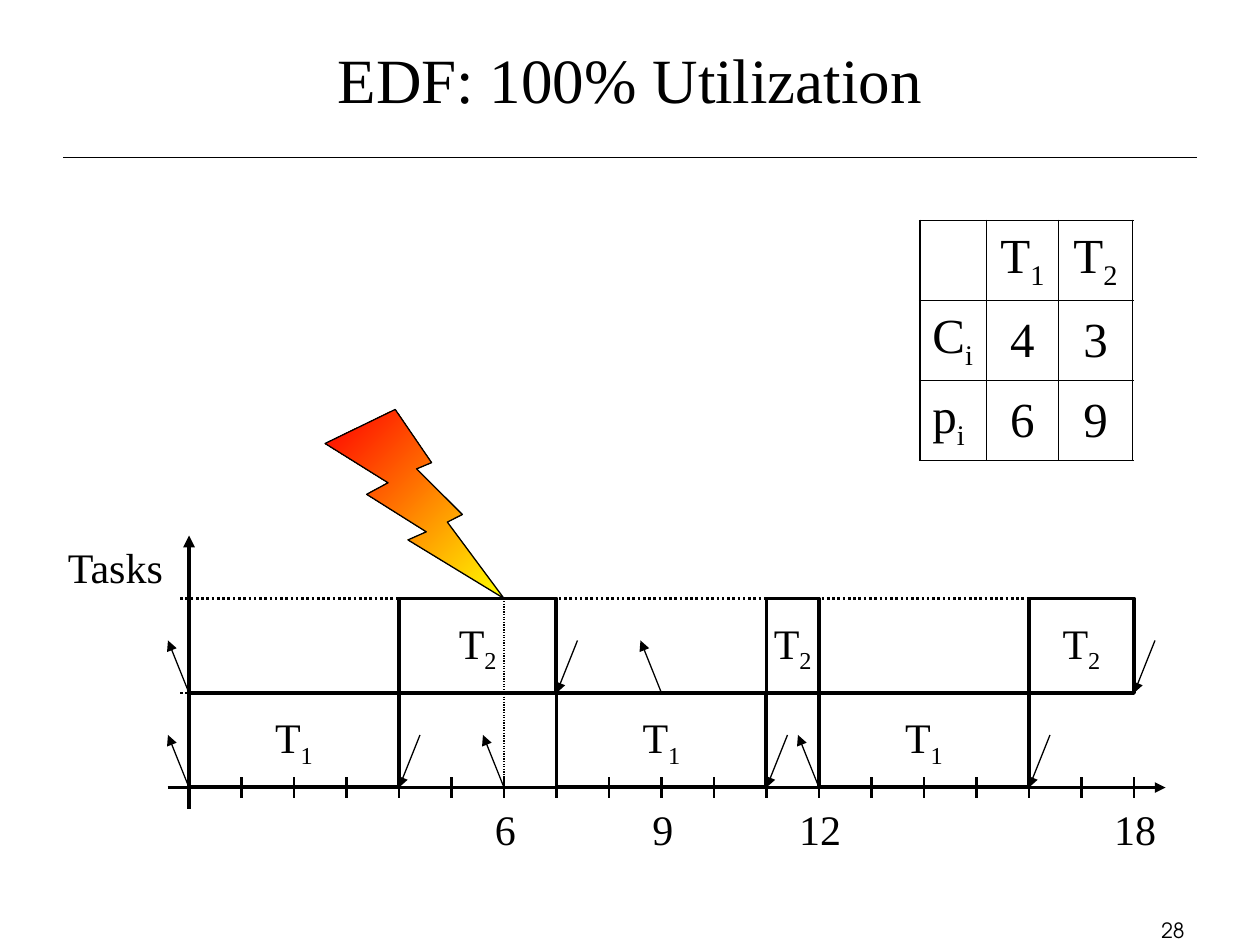
from lxml.etree import SubElement
from pptx import Presentation
from pptx.dml.color import RGBColor
from pptx.enum.dml import MSO_LINE
from pptx.enum.shapes import MSO_CONNECTOR, MSO_SHAPE
from pptx.enum.text import MSO_ANCHOR, PP_ALIGN
from pptx.oxml.ns import qn
from pptx.util import Inches, Pt

BLACK = RGBColor(0, 0, 0)
YELLOW = RGBColor(255, 255, 0)
RED = RGBColor(255, 0, 0)

# Time grid: 18 columns, one per time unit; one row per task
COLUMN = 7.5 / 18
ROW = 0.75
ORIGIN = 1.5
AXIS = 6.25
T1_BASE = AXIS
T2_BASE = AXIS - ROW
T2_TOP = AXIS - 2 * ROW
TICK = 0.08

presentation = Presentation()
presentation.slide_width = Inches(10)
presentation.slide_height = Inches(7.5)
slide = presentation.slides.add_slide(presentation.slide_layouts[6])
shapes = slide.shapes


def write(frame, text, size=24, font="Times New Roman", align=PP_ALIGN.CENTER,
          anchor=MSO_ANCHOR.MIDDLE, wrap=False):
    """Fill a text frame; whatever follows an underscore is a subscript."""
    frame.word_wrap = wrap
    frame.vertical_anchor = anchor
    paragraph = frame.paragraphs[0]
    paragraph.alignment = align
    for level, part in enumerate(text.split("_")):
        run = paragraph.add_run()
        run.text = part
        run.font.size = Pt(size)
        run.font.name = font
        run.font.color.rgb = BLACK
        if level:
            run._r.get_or_add_rPr().set("baseline", "-25000")


def rule(x1, y1, x2, y2, width=0.75, dash=None, arrow=False):
    """Draw a straight line, with an optional arrowhead at its end."""
    connector = shapes.add_connector(
        MSO_CONNECTOR.STRAIGHT, Inches(x1), Inches(y1), Inches(x2), Inches(y2))
    connector.line.color.rgb = BLACK
    connector.line.width = Pt(width)
    if dash:
        connector.line.dash_style = dash
    if arrow:
        SubElement(connector.line._get_or_add_ln(), qn("a:tailEnd"), type="triangle")
    SubElement(connector._element.spPr, qn("a:effectLst"))


# Title, page number and axis labels
labels = [
    ("EDF: 100% Utilization", 0.75, 0, 8.5, 1.25, {"size": 36, "wrap": True}),
    ("28", 7.42, 7.23, 2.08, 0.25,
     {"size": 12, "font": "TeX Gyre Adventor", "align": PP_ALIGN.RIGHT,
      "anchor": MSO_ANCHOR.TOP, "wrap": True}),
    ("Tasks", 0.44, 4.25, 0.98, 0.5,
     {"align": PP_ALIGN.LEFT, "anchor": MSO_ANCHOR.TOP}),
]
for time in (6, 9, 12, 18):
    label_width = 0.19 + 0.17 * len(str(time))
    label_left = ORIGIN + time * COLUMN - label_width / 2 + 0.01
    labels.append((str(time), label_left, AXIS + TICK, label_width, 0.5,
                   {"anchor": MSO_ANCHOR.TOP}))
for text, left, top, width, height, text_format in labels:
    label = shapes.add_textbox(Inches(left), Inches(top), Inches(width), Inches(height))
    write(label.text_frame, text, **text_format)

# Line under the title
rule(0.5, 1.25, 9.5, 1.25)

# Axes and time ticks
rule(1.33, AXIS, 9.25, AXIS, width=2, arrow=True)
rule(ORIGIN, 6.42, ORIGIN, 4.25, width=2.25, arrow=True)
for time in range(1, 19):
    tick_x = ORIGIN + time * COLUMN
    rule(tick_x, AXIS - TICK, tick_x, AXIS + TICK, width=1.5)

# Dotted guides for the task rows
for guide_y in (T2_TOP, T2_BASE):
    rule(1.43, guide_y, ORIGIN + 17 * COLUMN, guide_y, width=1.5, dash=MSO_LINE.ROUND_DOT)

# Executions: task, start, end, bottom of the row
executions = [
    ("T_1", 0, 4, T1_BASE), ("T_1", 7, 11, T1_BASE), ("T_1", 12, 16, T1_BASE),
    ("T_2", 4, 7, T2_BASE), ("T_2", 11, 12, T2_BASE), ("T_2", 16, 18, T2_BASE),
]
for task, start, end, base in executions:
    execution = shapes.add_shape(
        MSO_SHAPE.RECTANGLE, Inches(ORIGIN + start * COLUMN), Inches(base - ROW),
        Inches((end - start) * COLUMN), Inches(ROW))
    execution.shadow.inherit = False
    execution.fill.background()
    execution.line.color.rgb = BLACK
    execution.line.width = Pt(2.25)
    write(execution.text_frame, task)

# Releases point up and away, completions point down to the time axis
arrows = [
    (T1_BASE, (0, 6, 12), (4, 11, 16)),
    (T2_BASE, (0, 9), (7, 18)),
]
for base, releases, completions in arrows:
    for time in releases:
        x = ORIGIN + time * COLUMN
        rule(x, base, x - 0.4 * COLUMN, base - COLUMN, arrow=True)
    for time in completions:
        x = ORIGIN + time * COLUMN
        rule(x + 0.4 * COLUMN, base - COLUMN, x, base, arrow=True)

# Lightning bolt striking at time 6
strike_x = ORIGIN + 6 * COLUMN
bolt = shapes.add_shape(
    MSO_SHAPE.LIGHTNING_BOLT, Inches(strike_x - 1.42), Inches(T2_TOP - 1.5),
    Inches(1.42), Inches(1.5))
bolt.shadow.inherit = False
bolt.fill.gradient()
bolt.fill.gradient_angle = 135
for stop, color in zip(bolt.fill.gradient_stops, (YELLOW, RED)):
    stop.color.rgb = color
bolt.line.color.rgb = BLACK
bolt.line.width = Pt(0.75)
rule(strike_x, T2_TOP, strike_x, AXIS, dash=MSO_LINE.ROUND_DOT)

# Task parameters
parameters = [["", "T_1", "T_2"], ["C_i", "4", "3"], ["p_i", "6", "9"]]
column_widths = (0.53, 0.57, 0.59)
table = shapes.add_table(3, 3, Inches(7.3), Inches(1.75), Inches(1.69), Inches(1.9)).table
table.first_row = table.horz_banding = False
for column, width in zip(table.columns, column_widths):
    column.width = Inches(width)
for r, row in enumerate(parameters):
    table.rows[r].height = Inches(0.635)
    for c, text in enumerate(row):
        cell = table.cell(r, c)
        if text:
            write(cell.text_frame, text, size=28, wrap=True,
                  align=PP_ALIGN.CENTER if c else PP_ALIGN.LEFT)
        cell.vertical_anchor = MSO_ANCHOR.MIDDLE
        cell.margin_left = cell.margin_right = Inches(0.1)
        # Thick outer edges, thin inner ones
        properties = cell._tc.get_or_add_tcPr()
        for side, outer in (("L", c == 0), ("R", c == 2), ("T", r == 0), ("B", r == 2)):
            border = SubElement(properties, qn(f"a:ln{side}"),
                                w=str(Pt(1.08 if outer else 0.45)))
            border_fill = SubElement(border, qn("a:solidFill"))
            SubElement(border_fill, qn("a:srgbClr"), val=str(BLACK))
        cell.fill.background()

presentation.save("out.pptx")
